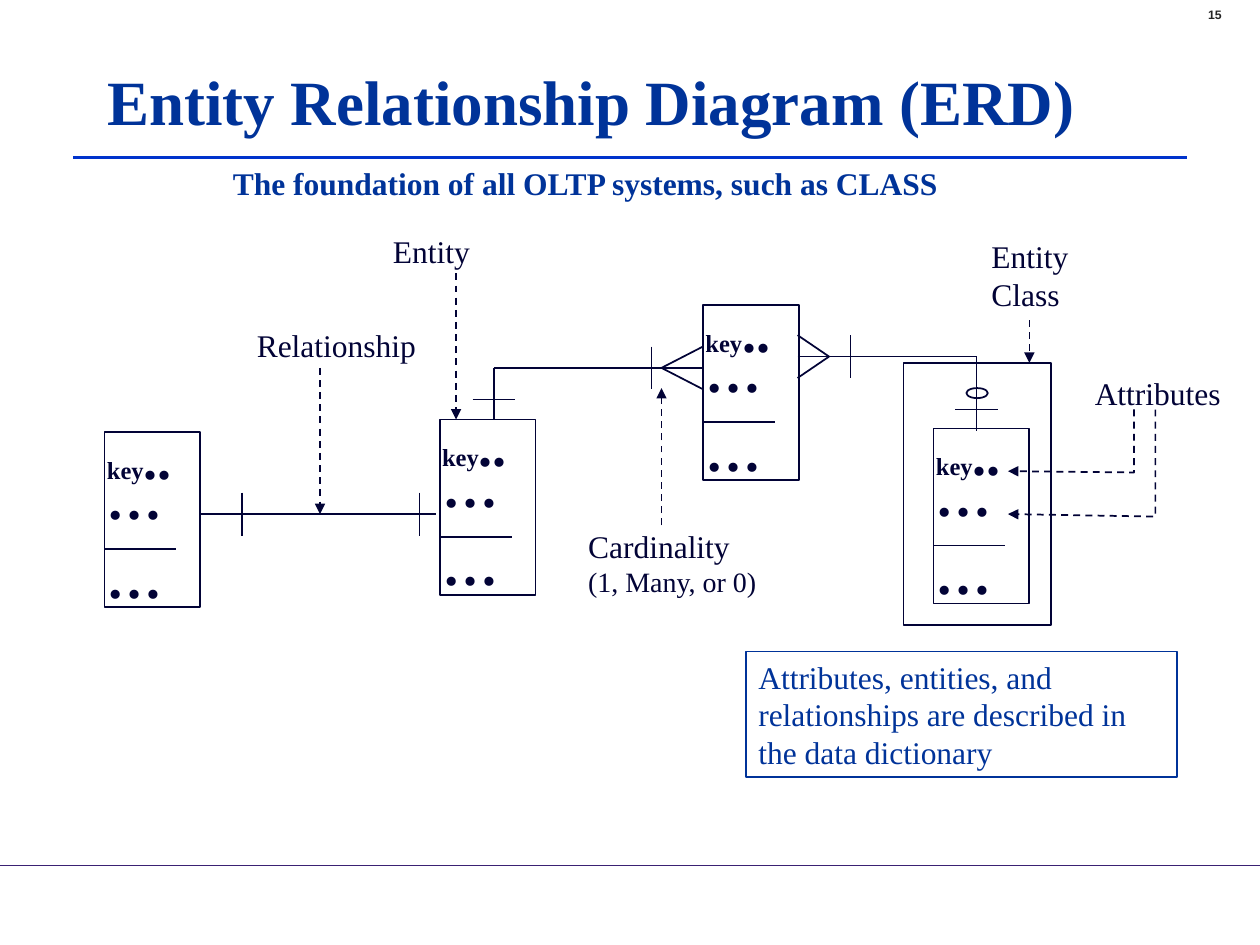
from pptx import Presentation
from pptx.dml.color import RGBColor
from pptx.enum.dml import MSO_LINE
from pptx.enum.shapes import MSO_CONNECTOR, MSO_SHAPE
from pptx.enum.text import MSO_ANCHOR, PP_ALIGN
from pptx.oxml.ns import qn
from pptx.util import Inches, Pt
from lxml.etree import SubElement

HUES = {"ink": "020336", "blue": "003399", "rule": "0033CC",
        "foot": "3A2173", "page": "232323"}
SERIF = "Times New Roman"
TITLE = "Entity Relationship Diagram (ERD)"
NOTE = ("Attributes, entities, and relationships are described in "
        "the data dictionary")

RULES = [((0, 6.87), (10, 6.87), "foot", 1),
         ((0.58, 1.25), (9.42, 1.25), "rule", 2.25)]
ENTITIES = [(0.83, 3.43), (3.49, 3.33), (5.58, 2.42), (7.41, 3.4)]
FIELDS = [[("key", 14), ("..", 32)], [("…", 32)], [("…", 32)]]
LINKS = [
    [(1.58, 4.08), (3.46, 4.08)],
    [(3.92, 3.33), (3.92, 2.92), (5.58, 2.92)],
    [(6.33, 2.83), (7.75, 2.83), (7.75, 3.42)],
]
FEET = [(5.25, 2.92, 5.58), (6.58, 2.83, 6.33)]
POSTS = [(1.92, 4.08), (3.33, 4.08), (5.17, 2.92), (6.75, 2.83)]
BARS = [(3.92, 3.17), (7.75, 3.25)]
ARROWS = [
    ((3.62, 2.17), (3.62, 3.33)),
    ((2.54, 2.92), (2.54, 4.08)),
    ((5.25, 4.17), (5.25, 3.08)),
    ((8.17, 2.54), (8.17, 2.88)),
]
BENDS = [
    [(9, 3.25), (9, 3.75), (8, 3.74)],
    [(9.17, 3.25), (9.17, 4.1), (8, 4.08)],
]
LABELS = [
    ((3.02, 1.79, 0.85, 0.4), [("Entity", 18)]),
    ((1.94, 2.54, 1.5, 0.4), [("Relationship", 18)]),
    ((8.59, 2.92, 1.25, 0.4), [("Attributes", 18)]),
    ((4.57, 4.13, 1.77, 0.67), [("Cardinality", 18), ("(1, Many, or 0)", 16)]),
    ((7.77, 1.83, 0.85, 0.7), [("Entity", 18), ("Class", 18)]),
]
HALF = 0.17


def style(font, size, hue, bold=False, face=SERIF):
    font.size, font.bold, font.name = Pt(size), bold, face
    font.color.rgb = RGBColor.from_string(HUES[hue])


def stroke(shape, hue="ink", width=1, arrow=False):
    shape.line.color.rgb = RGBColor.from_string(HUES[hue])
    shape.line.width = Pt(width)
    if arrow:
        shape.line.dash_style = MSO_LINE.DASH
        ln = shape.line._get_or_add_ln()
        SubElement(ln, qn("a:tailEnd"), type="triangle")


def line(tree, start, end, hue="ink", width=1, arrow=False):
    ends = [Inches(v) for v in (*start, *end)]
    shape = tree.add_connector(MSO_CONNECTOR.STRAIGHT, *ends)
    stroke(shape, hue, width, arrow)
    SubElement(shape._element.spPr, qn("a:effectLst"))


def box(tree, area, kind=MSO_SHAPE.RECTANGLE, hue="ink"):
    shape = tree.add_shape(kind, *map(Inches, area))
    shape.shadow.inherit = False
    shape.fill.background()
    stroke(shape, hue)
    return shape


def text(tree, area, rows, hue="ink", bold=False, face=SERIF):
    frame = tree.add_textbox(*map(Inches, area)).text_frame
    frame.word_wrap = True
    for i, row in enumerate(rows):
        para = frame.add_paragraph() if i else frame.paragraphs[0]
        for word, size in row:
            run = para.add_run()
            run.text = word
            style(run.font, size, hue, bold, face)
    return frame


def entity(tree, x, y):
    group = tree.add_group_shape().shapes
    box(group, (x, y, 0.76, 1.39))
    line(group, (x, y + 0.93), (x + 0.57, y + 0.93))
    frame = text(group, (x - 0.08, y + 0.07, 0.85, 1.32), FIELDS, bold=True)
    for para in frame.paragraphs:
        para.line_spacing = 0.6
    para.space_before = Pt(22)


def bend(tree, points):
    first, *rest = [(Inches(x), Inches(y)) for x, y in points]
    pen = tree.build_freeform(*first)
    pen.add_line_segments(rest, close=False)
    shape = pen.convert_to_shape()
    shape.shadow.inherit = False
    shape.fill.background()
    stroke(shape, arrow=True)


def main():
    deck = Presentation()
    deck.slide_width, deck.slide_height = Inches(10), Inches(7.5)
    slide = deck.slides.add_slide(deck.slide_layouts[5])
    tree = slide.shapes

    for rule in RULES:
        line(tree, *rule)
    text(tree, (9.49, 0.01, 0.5, 0.22), [[("15", 7)]], "page", True, "Arial")

    title = tree.title
    title.left, title.top = Inches(0.75), Inches(0.21)
    title.width, title.height = Inches(8.5), Inches(1.25)
    title.text_frame.text = TITLE
    title.text_frame.vertical_anchor = MSO_ANCHOR.MIDDLE
    head = title.text_frame.paragraphs[0]
    head.alignment = PP_ALIGN.LEFT
    head.line_spacing = Pt(38)
    style(head.runs[0].font, 36, "blue", True)
    text(tree, (1.75, 1.25, 5.9, 0.4),
         [[("The foundation of all OLTP systems, such as CLASS", 18)]], "blue", True)

    box(tree, (7.17, 2.88, 1.17, 2.08))
    for x, y in ENTITIES:
        entity(tree, x, y)

    for link in LINKS:
        for start, end in zip(link, link[1:]):
            line(tree, start, end)
    for x, y, edge in FEET:
        for side in (-HALF, HALF):
            line(tree, (x, y), (edge, y + side))
    for x, y in POSTS:
        line(tree, (x, y - HALF), (x, y + HALF))
    for x, y in BARS:
        line(tree, (x - HALF, y), (x + HALF, y))
    box(tree, (7.67, 3.08, 0.17, 0.08), MSO_SHAPE.OVAL)

    for start, end in ARROWS:
        line(tree, start, end, arrow=True)
    for points in BENDS:
        bend(tree, points)
    for area, rows in LABELS:
        text(tree, area, [[row] for row in rows])

    note = box(tree, (5.92, 5.17, 3.42, 1), hue="blue").text_frame
    note.text = NOTE
    note.word_wrap = True
    note.vertical_anchor = MSO_ANCHOR.TOP
    para = note.paragraphs[0]
    para.alignment = PP_ALIGN.LEFT
    style(para.runs[0].font, 18, "blue")

    deck.save("out.pptx")


if __name__ == "__main__":
    main()
